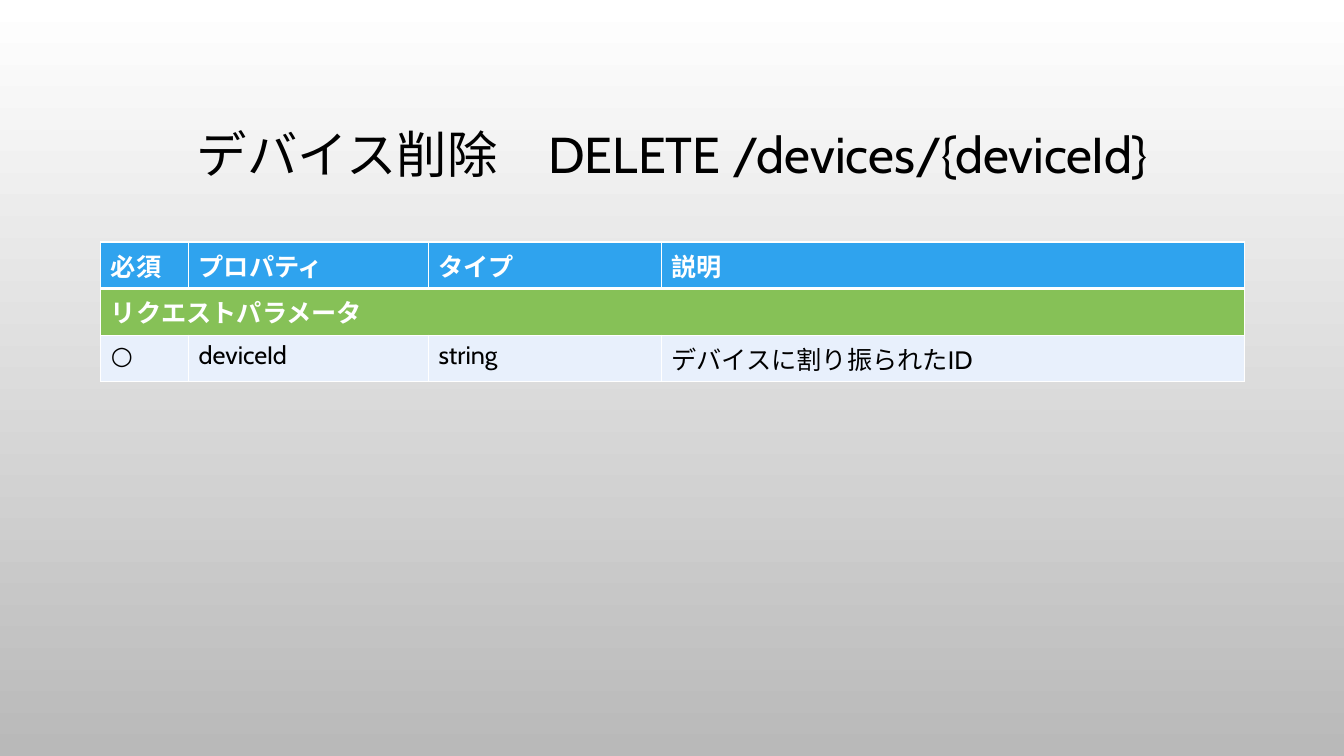
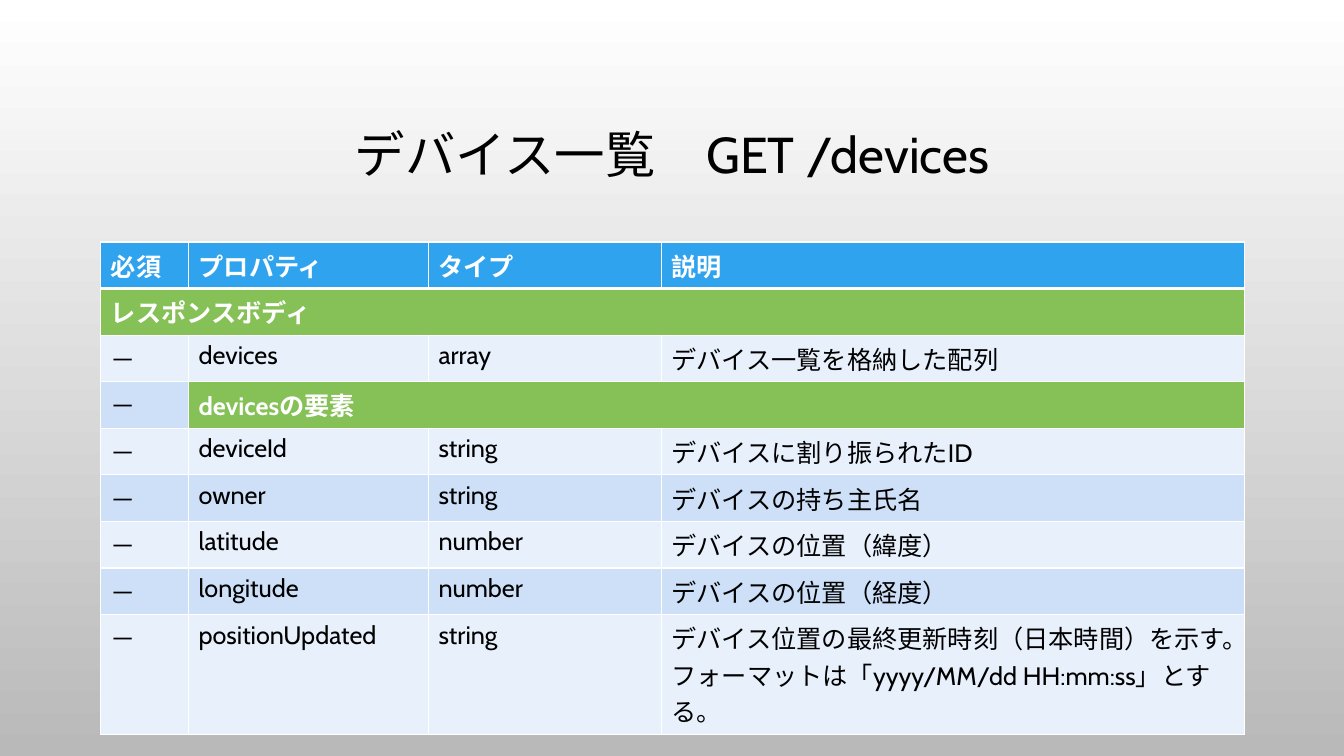
from lxml.etree import SubElement
from pptx import Presentation
from pptx.dml.color import RGBColor
from pptx.enum.text import MSO_ANCHOR as Anchor, MSO_AUTO_SIZE as AutoSize, PP_ALIGN as Align
from pptx.oxml.ns import qn
from pptx.util import Inches, Pt

# Shared look
WHITE, BLACK, GREY = "FFFFFF", "000000", "B9B9B9"
BLUE, GREEN = "2FA3EE", "86C157"
BANDS = ["E8F0FC", "CDE0F8"]
TITLE_FONT = {"name": "Cabin", "size": Pt(36), "bold": False}
HEAD_FONT = {"name": "Cabin", "size": Pt(18), "bold": True}
BODY_FONT = {"name": "Cabin", "size": Pt(18), "bold": False}
TITLE_BOX = {"left": Inches(1), "top": Inches(0.68), "width": Inches(11.33), "height": Inches(1.75)}
TITLE_FRAME = {"vertical_anchor": Anchor.MIDDLE, "auto_size": AutoSize.NONE, "word_wrap": True}
COLUMN_WIDTHS = [0.87, 2.38, 2.31, 5.78]
HEADER = ("必須", "プロパティ", "タイプ", "説明")

# A row shorter than the header ends in a heading that spans the remaining columns
PAGES = [
    ("デバイス削除\u3000DELETE /devices/{deviceId}", 1.2, [
        ("リクエストパラメータ",),
        ("○", "deviceId", "string", "デバイスに割り振られたID"),
    ]),
    ("デバイス一覧\u3000GET /devices", 3.93, [
        ("レスポンスボディ",),
        ("－", "devices", "array", "デバイス一覧を格納した配列"),
        ("－", "devicesの要素"),
        ("－", "deviceId", "string", "デバイスに割り振られたID"),
        ("－", "owner", "string", "デバイスの持ち主氏名"),
        ("－", "latitude", "number", "デバイスの位置（緯度）"),
        ("－", "longitude", "number", "デバイスの位置（経度）"),
        ("－", "positionUpdated", "string",
         "デバイス位置の最終更新時刻（日本時間）を示す。\n"
         "フォーマットは「yyyy/MM/dd HH:mm:ss」とする。"),
    ]),
]


def color(value):
    return RGBColor.from_string(value)


def style_text(frame, font_values, font_color):
    for para in frame.paragraphs:
        for span in para.runs:
            for name, value in font_values.items():
                setattr(span.font, name, value)
            span.font.color.rgb = color(font_color)


deck = Presentation()
deck.slide_width, deck.slide_height = Inches(13.33), Inches(7.5)

# Background gradient, white at the top
backdrop = deck.slide_master.background.fill
backdrop.gradient()
backdrop.gradient_angle = 270
for stop, position, shade in zip(backdrop.gradient_stops, (0, 1), (WHITE, GREY)):
    stop.position = position
    stop.color.rgb = color(shade)

for heading, table_height, body_rows in PAGES:
    page = deck.slides.add_slide(deck.slide_layouts[5])

    # Title
    title = page.shapes.title
    for name, value in TITLE_BOX.items():
        setattr(title, name, value)
    frame = title.text_frame
    frame.text = heading
    for name, value in TITLE_FRAME.items():
        setattr(frame, name, value)
    frame.paragraphs[0].alignment = Align.CENTER
    frame.paragraphs[0].line_spacing = 0.9
    style_text(frame, TITLE_FONT, BLACK)

    # Table
    rows = [HEADER] + body_rows
    table = page.shapes.add_table(
        len(rows), len(HEADER), Inches(1), Inches(2.4), Inches(11.33), Inches(table_height)).table
    for column, width in zip(table.columns, COLUMN_WIDTHS):
        column.width = Inches(width)

    for row_index, texts in enumerate(rows):
        last = len(texts) - 1
        for column_index in range(len(HEADER)):
            cell = table.cell(row_index, column_index)
            is_section = len(texts) < len(HEADER) and column_index >= last
            is_heading = row_index == 0 or is_section

            # White borders, thicker under the header
            properties = cell._tc.get_or_add_tcPr()
            for side in ("lnL", "lnR", "lnT", "lnB"):
                thick = (row_index, side) in ((0, "lnB"), (1, "lnT"))
                line = SubElement(properties, qn(f"a:{side}"), w=str(Pt(3 if thick else 1)))
                SubElement(SubElement(line, qn("a:solidFill")), qn("a:srgbClr"), val=WHITE)

            cell.fill.solid()
            band = BANDS[row_index % 2]
            cell.fill.fore_color.rgb = color(BLUE if row_index == 0 else GREEN if is_section else band)
            if column_index <= last:
                cell.text = texts[column_index]
                style_text(cell.text_frame, HEAD_FONT if is_heading else BODY_FONT,
                           WHITE if is_heading else BLACK)

        if len(texts) < len(HEADER):
            table.cell(row_index, last).merge(table.cell(row_index, len(HEADER) - 1))

deck.save("out.pptx")
